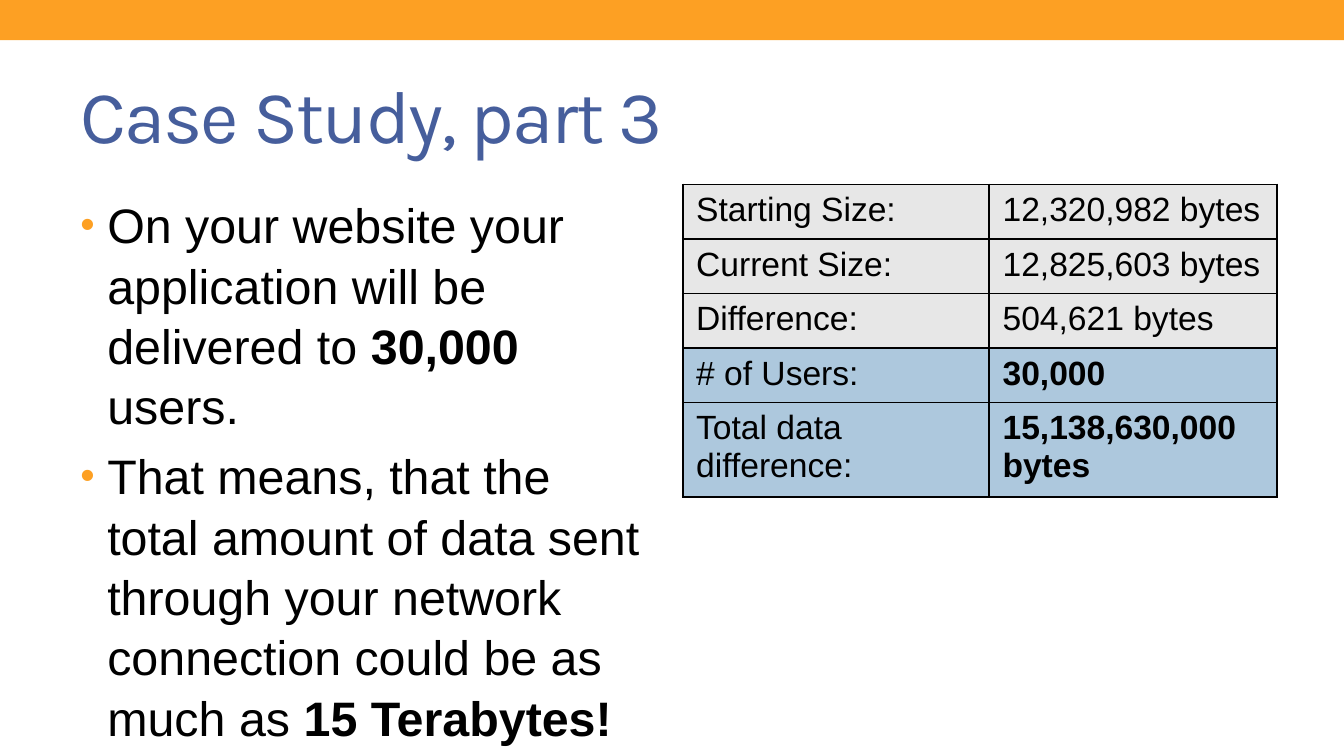
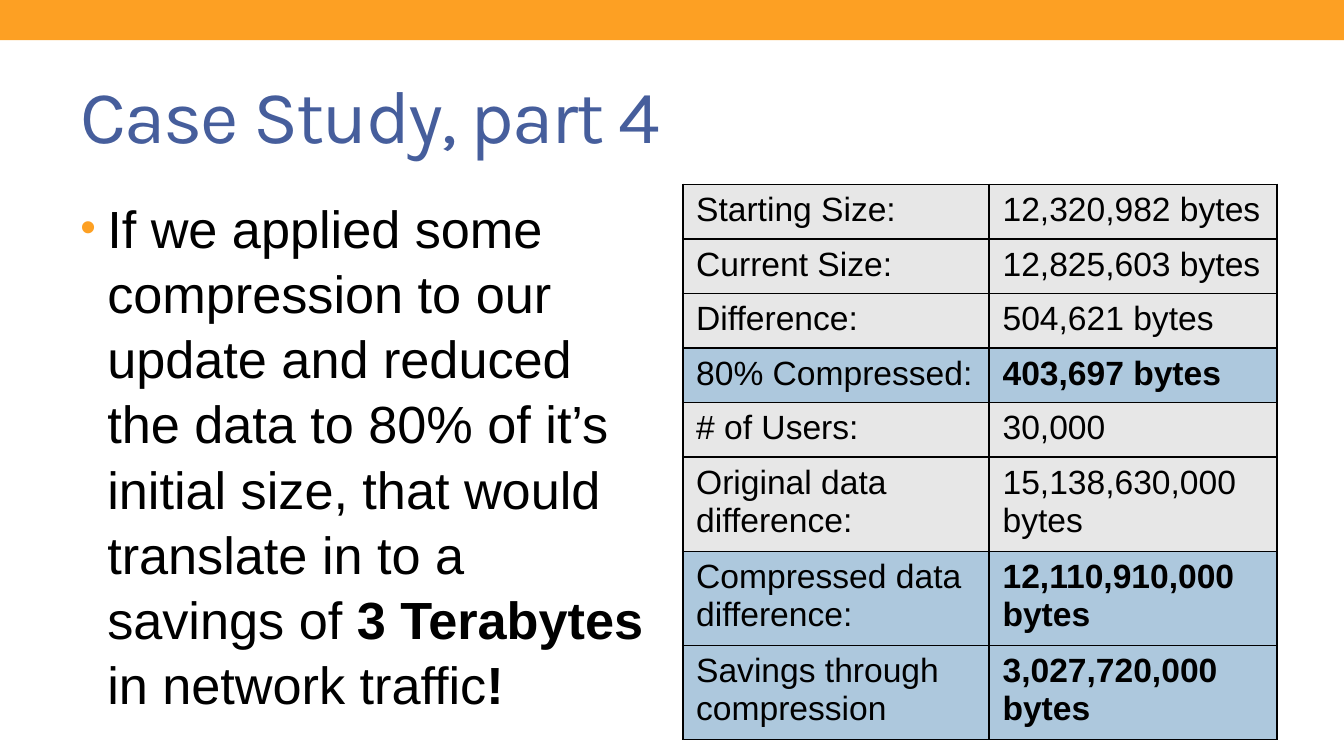
from dataclasses import dataclass

import lxml.etree
import pptx
import pptx.dml.color
import pptx.enum.shapes
import pptx.enum.text
import pptx.oxml.ns
import pptx.util

COLORS = {
    "band": "FDA023",
    "title": "465E9C",
    "text": "000000",
    "plain": "E7E7E7",
    "highlight": "ADC8DD",
    "border": "000000",
}
SLIDE_WIDTH = pptx.util.Inches(10)
SLIDE_HEIGHT = pptx.util.Inches(5.625)
TITLE_ONLY = 5
TABLE_COLUMNS = (22.8, 21.4)
ROW_HEIGHTS = {1: 7.22, 2: 11.7}


@dataclass(frozen=True)
class Area:
    """A rectangle in percent of the slide's width and height."""
    left: float
    top: float
    width: float
    height: float

    def box(self) -> tuple[int, int, int, int]:
        return (across(self.left), down(self.top),
                across(self.width), down(self.height))


@dataclass(frozen=True)
class Row:
    label: str
    value: str
    highlighted: bool = False
    lines: int = 1


@dataclass(frozen=True)
class CaseSlide:
    """One slide; each bullet alternates plain and bold pieces."""
    title: str
    bullets: list[list[str]]
    bullet_size: float
    rows: list[Row]


BAND = Area(0, 0, 100, 5.3)
TITLE = Area(5, 7.82, 90, 14.4)
BODY = Area(5, 24.7, 44.2, 68.8)
TABLE = Area(50.8, 24.4, 44.2, 0)

SIZES = [
    Row("Starting Size:", "12,320,982 bytes"),
    Row("Current Size:", "12,825,603 bytes"),
    Row("Difference:", "504,621 bytes"),
]
CASE_SLIDES = [
    CaseSlide(
        "Case Study, part 3",
        [
            ["On your website your application will be delivered to ",
             "30,000", " users."],
            ["That means, that the total amount of data sent through your "
             "network connection could be as much as ", "15 Terabytes!"],
        ],
        25.9,
        SIZES + [
            Row("# of Users:", "30,000", True),
            Row("Total data difference:", "15,138,630,000 bytes", True, 2),
        ],
    ),
    CaseSlide(
        "Case Study, part 4",
        [
            ["If we applied some compression to our update and reduced the "
             "data to 80% of it’s initial size, that would translate in to a "
             "savings of ", "3 Terabytes ", "in network traffic", "!"],
        ],
        28,
        SIZES + [
            Row("80% Compressed:", "403,697 bytes", True),
            Row("# of Users:", "30,000"),
            Row("Original data difference:", "15,138,630,000 bytes", False, 2),
            Row("Compressed data difference:", "12,110,910,000 bytes", True, 2),
            Row("Savings through compression", "3,027,720,000 bytes", True, 2),
        ],
    ),
]


def across(percent: float) -> int:
    return round(SLIDE_WIDTH * percent / 100)


def down(percent: float) -> int:
    return round(SLIDE_HEIGHT * percent / 100)


def rgb(name: str) -> pptx.dml.color.RGBColor:
    return pptx.dml.color.RGBColor.from_string(COLORS[name])


def add_xml(parent, tag: str, **attributes: str):
    return lxml.etree.SubElement(parent, pptx.oxml.ns.qn(tag), attributes)


def write(paragraph, text: str, *, size: float, font: str = "Arial",
          color: str = "text", bold: bool = False):
    run = paragraph.add_run()
    run.text = text
    run.font.size = pptx.util.Pt(size)
    run.font.name = font
    run.font.bold = bold
    run.font.color.rgb = rgb(color)
    return run


def add_band(slide) -> None:
    band = slide.shapes.add_shape(
        pptx.enum.shapes.MSO_SHAPE.RECTANGLE, *BAND.box())
    band.shadow.inherit = False
    band.fill.solid()
    band.fill.fore_color.rgb = rgb("band")
    band.line.fill.background()


def set_title(slide, text: str) -> None:
    title = slide.shapes.title
    title.left, title.top, title.width, title.height = TITLE.box()
    frame = title.text_frame
    frame.vertical_anchor = pptx.enum.text.MSO_ANCHOR.MIDDLE
    frame.auto_size = pptx.enum.text.MSO_AUTO_SIZE.NONE
    frame.paragraphs[0].alignment = pptx.enum.text.PP_ALIGN.LEFT
    run = write(frame.paragraphs[0], text, size=40, font="Karla", color="title")
    run.font._element.set("spc", "-100")


def add_bullet_mark(paragraph) -> None:
    properties = paragraph._p.get_or_add_pPr()
    indent = pptx.util.Inches(0.2)
    properties.set("marL", str(indent))
    properties.set("indent", str(-indent))
    mark_color = add_xml(properties, "a:buClr")
    add_xml(mark_color, "a:srgbClr", val=COLORS["band"])
    add_xml(properties, "a:buSzPct", val="85000")
    add_xml(properties, "a:buFont", typeface="Arial")
    add_xml(properties, "a:buChar", char="•")


def add_bullets(slide, bullets: list[list[str]], size: float) -> None:
    frame = slide.shapes.add_textbox(*BODY.box()).text_frame
    frame.word_wrap = True
    for index, pieces in enumerate(bullets):
        paragraph = frame.add_paragraph() if index else frame.paragraphs[0]
        add_bullet_mark(paragraph)
        paragraph.line_spacing = 1.04
        if index:
            paragraph.space_before = pptx.util.Pt(size * 0.2)
        for position, piece in enumerate(pieces):
            write(paragraph, piece, size=size, bold=position % 2 == 1)


def add_borders(cell) -> None:
    properties = cell._tc.get_or_add_tcPr()
    for side in ("a:lnL", "a:lnR", "a:lnT", "a:lnB"):
        border = add_xml(properties, side, w=str(pptx.util.Pt(1)))
        fill = add_xml(border, "a:solidFill")
        add_xml(fill, "a:srgbClr", val=COLORS["border"])


def add_size_table(slide, rows: list[Row]) -> None:
    left, top, width, _ = TABLE.box()
    height = down(sum(ROW_HEIGHTS[row.lines] for row in rows))
    table = slide.shapes.add_table(
        len(rows), len(TABLE_COLUMNS), left, top, width, height).table
    table.first_row = False
    table.horz_banding = False
    for column, share in zip(table.columns, TABLE_COLUMNS):
        column.width = across(share)
    for table_row, row in zip(table.rows, rows):
        table_row.height = down(ROW_HEIGHTS[row.lines])
        label, value = table_row.cells
        write(label.text_frame.paragraphs[0], row.label, size=18)
        write(value.text_frame.paragraphs[0], row.value, size=18,
              bold=row.highlighted)
        for cell in (label, value):
            add_borders(cell)
            cell.fill.solid()
            cell.fill.fore_color.rgb = rgb(
                "highlight" if row.highlighted else "plain")


def main() -> None:
    deck = pptx.Presentation()
    deck.slide_width = SLIDE_WIDTH
    deck.slide_height = SLIDE_HEIGHT
    for case in CASE_SLIDES:
        slide = deck.slides.add_slide(deck.slide_layouts[TITLE_ONLY])
        add_band(slide)
        set_title(slide, case.title)
        add_bullets(slide, case.bullets, case.bullet_size)
        add_size_table(slide, case.rows)
    deck.save("out.pptx")


if __name__ == "__main__":
    main()
